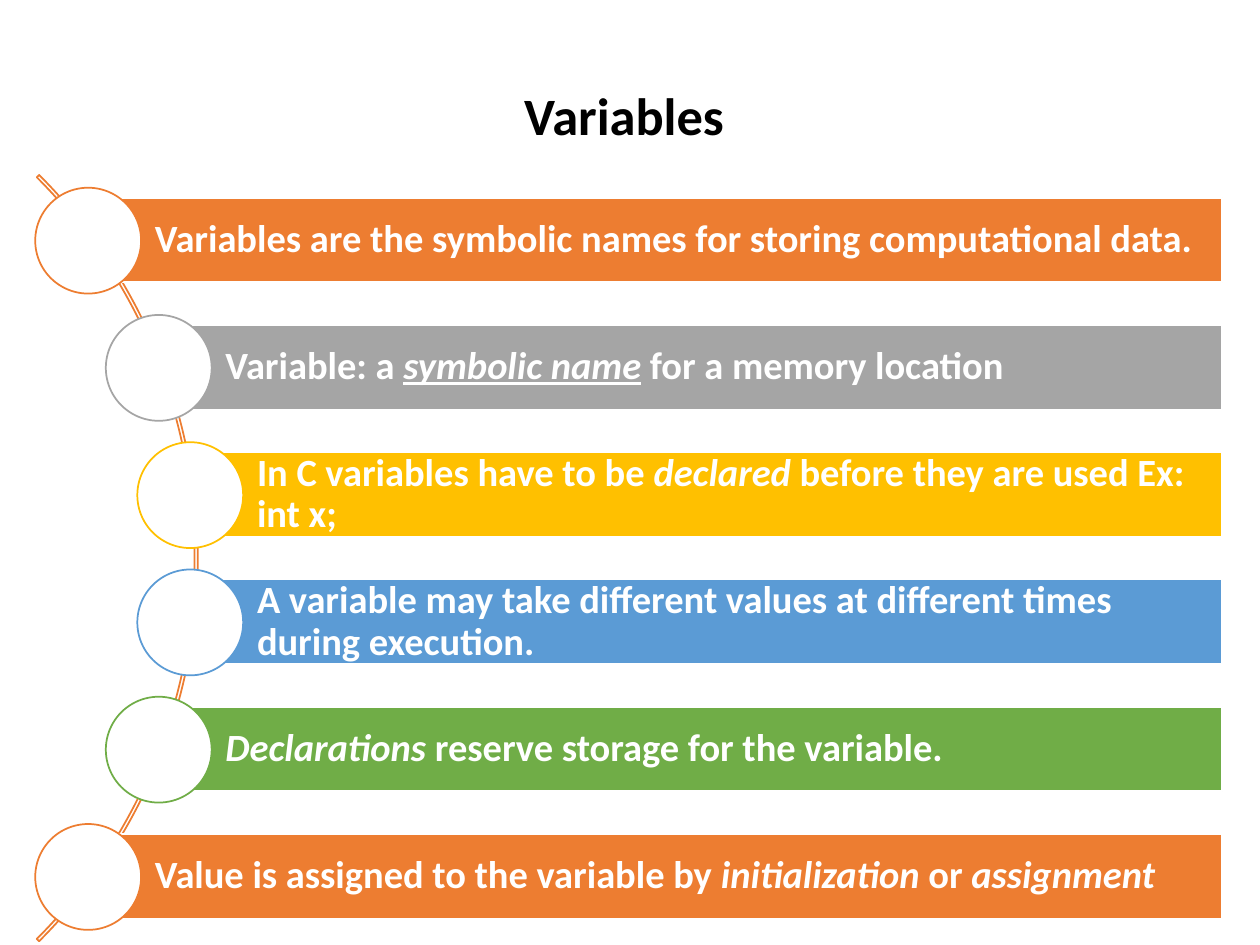
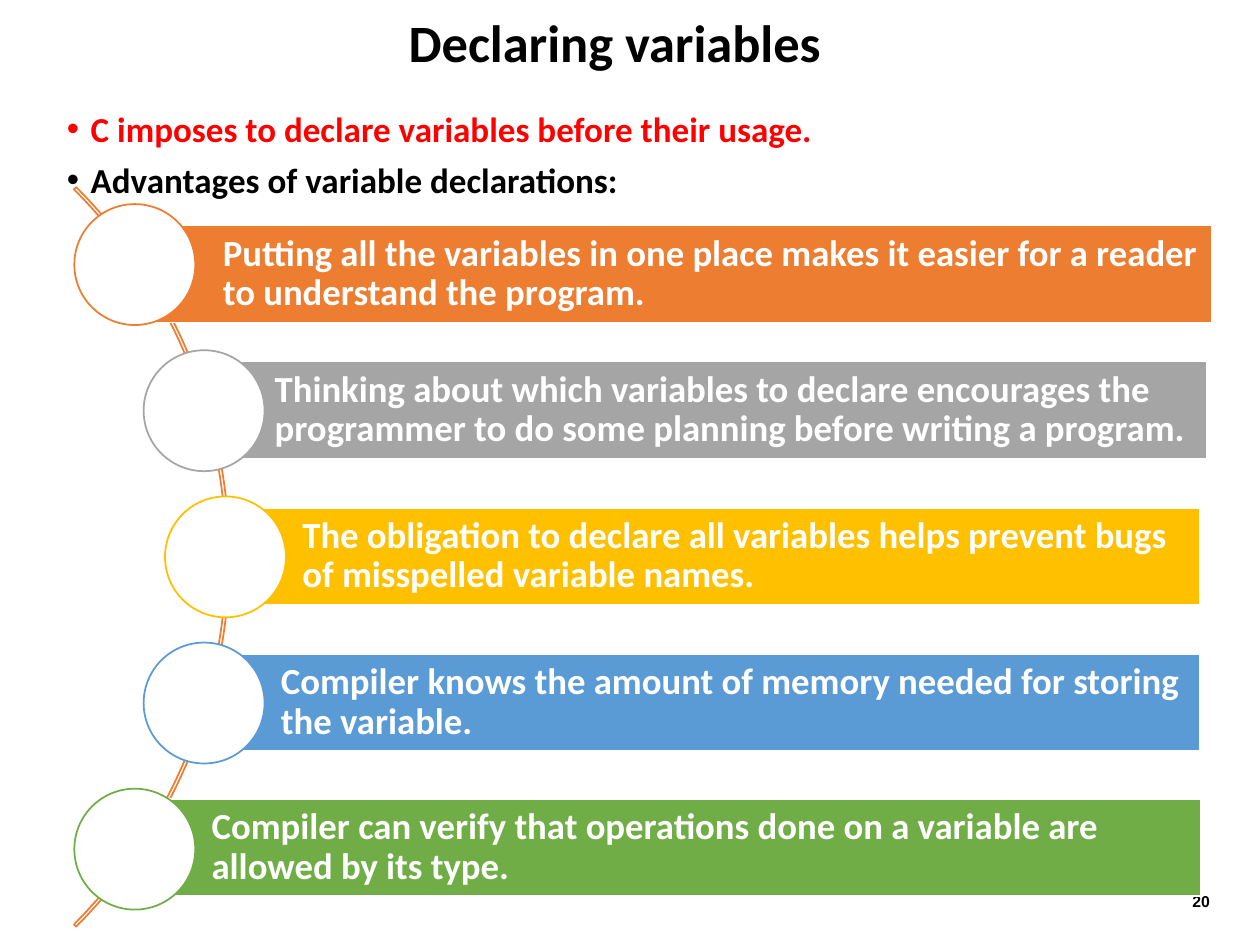
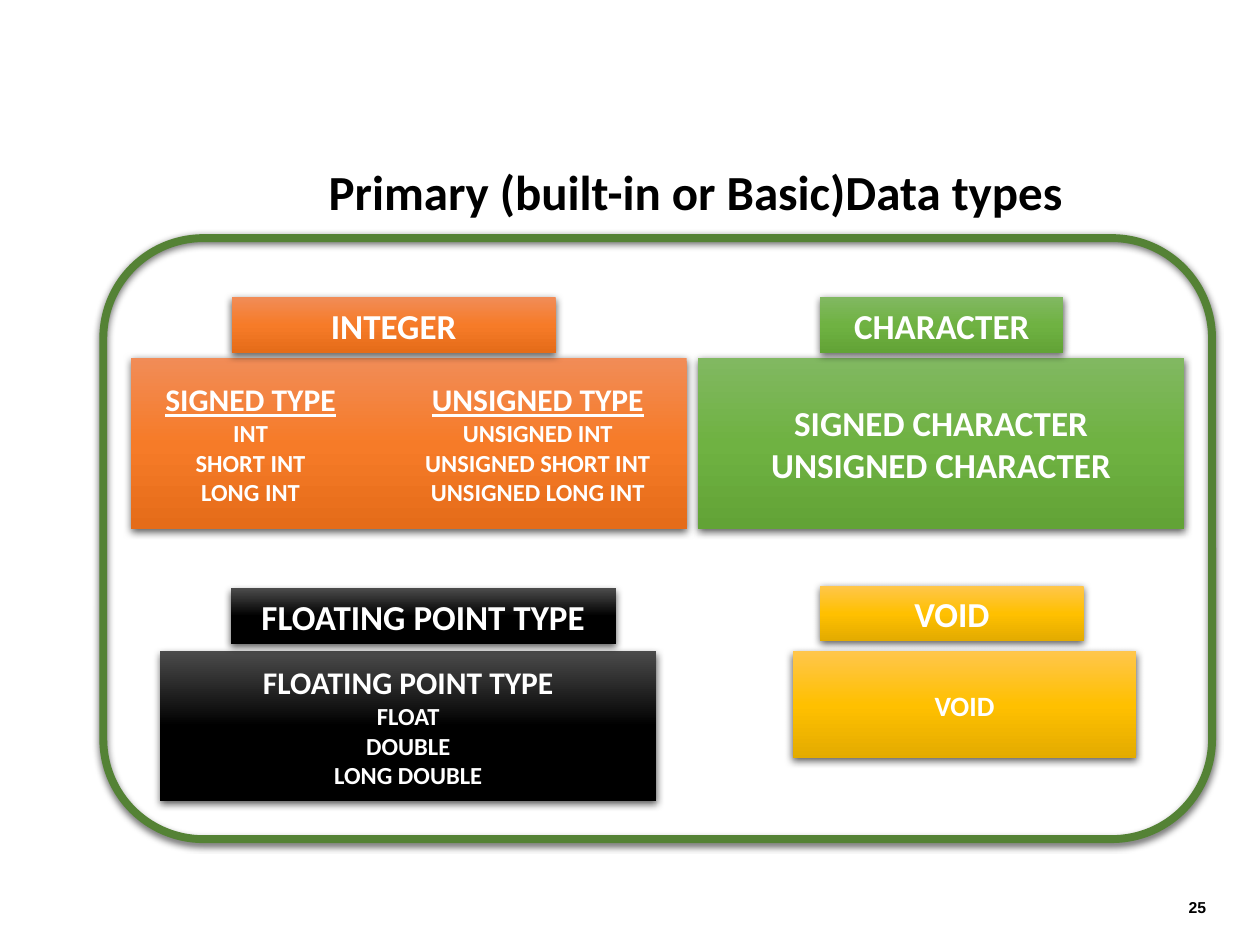
from copy import deepcopy

from lxml.etree import SubElement
from pptx import Presentation
from pptx.dml.color import RGBColor
from pptx.enum.shapes import MSO_SHAPE as SHAPE
from pptx.enum.text import MSO_ANCHOR as ANCHOR, MSO_AUTO_SIZE as AUTO, PP_ALIGN as ALIGN
from pptx.oxml.ns import qn
from pptx.util import Inches, Pt

BLACK = RGBColor(0x00, 0x00, 0x00)
WHITE = RGBColor(0xFF, 0xFF, 0xFF)
RED = RGBColor(0xFF, 0x00, 0x00)
ORANGE = RGBColor(0xED, 0x7D, 0x31)
GRAY = RGBColor(0xA5, 0xA5, 0xA5)
GOLD = RGBColor(0xFF, 0xC0, 0x00)
BLUE = RGBColor(0x5B, 0x9B, 0xD5)
GREEN = RGBColor(0x70, 0xAD, 0x47)
DARK_GREEN = RGBColor(0x54, 0x82, 0x35)
ACCENTS = [ORANGE, GRAY, GOLD, BLUE, GREEN]

ORANGE_FADE = [RGBColor(0xF1, 0x8C, 0x57), RGBColor(0xF6, 0x7B, 0x28), RGBColor(0xE5, 0x6C, 0x19)]
GREEN_FADE = [RGBColor(0x81, 0xB8, 0x61), RGBColor(0x6F, 0xB2, 0x42), RGBColor(0x62, 0xA3, 0x36)]
BLACK_FADE = [RGBColor(0x4B, 0x4B, 0x4B), BLACK, BLACK]
GOLD_FADE = [RGBColor(0xFF, 0xC6, 0x4B), GOLD, RGBColor(0xE3, 0xAB, 0x00)]

TITLE_ONLY, TITLE_AND_BODY = 5, 1


def place(sp, left, top, width, height):
    sp.left, sp.top, sp.width, sp.height = map(Inches, (left, top, width, height))


def set_insets(tf, left, top, right, bottom):
    tf.margin_left, tf.margin_top = Inches(left), Inches(top)
    tf.margin_right, tf.margin_bottom = Inches(right), Inches(bottom)


def set_tabs(p, positions):
    """Add centred tab stops, in inches from the text edge."""
    tabs = SubElement(p._p.get_or_add_pPr(), qn("a:tabLst"))
    for position in positions:
        SubElement(tabs, qn("a:tab"), pos=str(Inches(position)), algn="ctr")


def set_shadow(sp):
    """Give the shape a soft black shadow just below it."""
    sp.shadow.inherit = False
    effects = sp._element.spPr.find(qn("a:effectLst"))
    outer = SubElement(effects, qn("a:outerShdw"), blurRad=str(Pt(4.5)),
                       dist=str(Pt(1.5)), dir="5400000", algn="ctr", rotWithShape="0")
    color = SubElement(outer, qn("a:srgbClr"), val="000000")
    SubElement(color, qn("a:alpha"), val="63000")


def set_fade(sp, colors):
    """Fill the shape with a three-stop gradient from top to bottom."""
    sp.fill.gradient()
    sp.fill.gradient_angle = 270
    stops = sp._element.spPr.find(".//" + qn("a:gsLst"))
    stops.append(deepcopy(stops[0]))
    for i, (stop, color) in enumerate(zip(sp.fill.gradient_stops, colors)):
        stop.position = i / 2
        stop.color.rgb = color


class Deck:
    font = "Calibri"

    def __init__(self):
        self.prs = Presentation()
        self.prs.slide_width, self.prs.slide_height = Inches(10), Inches(7.5)

    def new_slide(self, layout):
        self.slide = self.prs.slides.add_slide(self.prs.slide_layouts[layout])

    def style(self, p, size, color, align=ALIGN.LEFT, spacing=1.0, font=None):
        p.alignment, p.line_spacing = align, spacing
        p.space_before = Pt(0)
        for r in p.runs:
            r.font.name, r.font.size, r.font.bold = font or self.font, Pt(size), True
            r.font.color.rgb = color

    def title(self, text, box, size=30, indent=None):
        """Fill the title; an indent, in inches, replaces centring."""
        sp = self.slide.shapes.title
        place(sp, *box)
        tf = sp.text_frame
        tf.text, tf.auto_size, tf.vertical_anchor = text, AUTO.NONE, ANCHOR.MIDDLE
        p = tf.paragraphs[0]
        self.style(p, size, BLACK, ALIGN.LEFT if indent else ALIGN.CENTER, 0.9)
        if indent:
            p._p.get_or_add_pPr().set("marL", str(Inches(indent)))

    def bullets(self, items, box):
        sp = self.slide.placeholders[1]
        place(sp, *box)
        tf = sp.text_frame
        tf.text, tf.auto_size = "\n".join(text for text, _ in items), AUTO.NONE
        set_insets(tf, 0.07, 0.04, 0.07, 0.04)
        for i, (p, (_, color)) in enumerate(zip(tf.paragraphs, items)):
            self.style(p, 20, color, ALIGN.JUSTIFY, 0.9)
            p.space_before = Pt(7.5 if i else 0)
            pPr = p._p.get_or_add_pPr()
            pPr.set("marL", str(Inches(0.19)))
            pPr.set("indent", str(Inches(-0.19)))

    def number(self, text, box):
        sp = self.slide.shapes.add_textbox(*map(Inches, box))
        tf = sp.text_frame
        tf.text, tf.word_wrap, tf.vertical_anchor = text, True, ANCHOR.MIDDLE
        self.style(tf.paragraphs[0], 9, BLACK, ALIGN.RIGHT, font="Arial")

    def shape(self, kind, box, line=None, fill=None, width=1):
        sp = self.slide.shapes.add_shape(kind, *map(Inches, box))
        sp.shadow.inherit = False
        if fill is None:
            sp.fill.background()
        else:
            sp.fill.solid()
            sp.fill.fore_color.rgb = fill
        if line is None:
            sp.line.fill.background()
        else:
            sp.line.color.rgb, sp.line.width = line, Pt(width)
        return sp

    def arc(self, left, top, diameter):
        sp = self.shape(SHAPE.BLOCK_ARC, (left, top, diameter, diameter), ORANGE)
        for i, value in enumerate((189, 27, 0.003)):
            sp.adjustments[i] = value

    def bar(self, box, color, runs, size, inset):
        """Draw a bar; runs are (text, marks) with marks i and u."""
        tf = self.shape(SHAPE.RECTANGLE, box, WHITE, color).text_frame
        tf.word_wrap, tf.vertical_anchor = True, ANCHOR.MIDDLE
        set_insets(tf, inset, 0.06, 0.06, 0.06)
        p = tf.paragraphs[0]
        for text, marks in runs:
            r = p.add_run()
            r.text = text
            r.font.italic, r.font.underline = "i" in marks, "u" in marks
        self.style(p, size, WHITE, spacing=0.9)

    def circle(self, left, top, diameter, color):
        self.shape(SHAPE.OVAL, (left, top, diameter, diameter), color, WHITE)

    def type_box(self, box, colors, lines, tabs=()):
        """Draw a shaded box of (text, size) lines, in columns if tabs are given."""
        sp = self.shape(SHAPE.RECTANGLE, box)
        set_fade(sp, colors)
        set_shadow(sp)
        tf = sp.text_frame
        tf.text = "\n".join(text for text, _ in lines)
        tf.word_wrap, tf.vertical_anchor = True, ANCHOR.MIDDLE
        for p, (_, size) in zip(tf.paragraphs, lines):
            if tabs:
                set_tabs(p, tabs)
            self.style(p, size, WHITE, ALIGN.LEFT if tabs else ALIGN.CENTER)
        return tf

    def frame(self, box):
        set_shadow(self.shape(SHAPE.ROUNDED_RECTANGLE, box, DARK_GREEN, width=4.5))


def variables(deck):
    deck.new_slide(TITLE_ONLY)
    deck.title("Variables", (1.81, 0.66, 5.88, 0.56), indent=2.25)
    deck.arc(-7.03, 0.13, 8.6)
    facts = [
        (0.7, [("Variables are the symbolic names for storing computational data.", "")]),
        (1.26, [("Variable: a ", ""), ("symbolic name", "iu"), (" for a memory location", "")]),
        (1.51, [("In C variables have to be ", ""), ("declared", "i"),
                (" before they are used Ex: int x;", "")]),
        (1.51, [("A variable may take different values at different times during execution.", "")]),
        (1.26, [("Declarations ", "i"), ("reserve storage for the variable.", "")]),
        (0.7, [("Value is assigned to the variable by ", ""), ("initialization", "i"),
               (" or ", ""), ("assignment", "i")]),
    ]
    right, pitch, diameter = 9.7, 1.01, 0.84
    for i, (left, runs) in enumerate(facts):
        color = ACCENTS[i % len(ACCENTS)]
        top = 1.57 + i * pitch
        deck.bar((left, top, right - left, 0.67), color, runs, 22, 0.53)
        deck.circle(left - diameter / 2, top - 0.08, diameter, color)


def declaring_variables(deck):
    deck.new_slide(TITLE_AND_BODY)
    deck.title("Declaring variables", (1.94, 0.08, 5.88, 0.56))
    deck.bullets([("C imposes to declare variables before their usage.", RED),
                  ("Advantages of variable declarations:", BLACK)], (0.46, 0.85, 9.25, 4.86))
    deck.number("20", (9.31, 6.95, 0.39, 0.4))
    deck.arc(-6.48, 0.27, 8.3)
    advantages = [
        (0.59, (1.16, 1.79, 8.46),
         "Putting all the variables in one place makes it easier for a reader "
         "to understand the program."),
        (1.14, (1.57, 2.87, 8.01),
         "Thinking about which variables to declare encourages the programmer "
         "to do some planning before writing a program."),
        (1.31, (1.79, 4.03, 7.73),
         "The obligation to declare all variables helps prevent bugs "
         "of misspelled variable names."),
        (1.14, (1.62, 5.19, 7.9),
         "Compiler knows the amount of memory needed for storing the variable."),
        (0.59, (1.07, 6.34, 8.46),
         "Compiler can verify that operations done on a variable are allowed by its type."),
    ]
    for i, (circle_left, bar, text) in enumerate(advantages):
        deck.bar((*bar, 0.77), ACCENTS[i], [(text, "")], 21, 0.61)
        deck.circle(circle_left, 1.62 + i * 1.16, 0.96, ACCENTS[i])


def primary_types(deck):
    deck.new_slide(TITLE_ONLY)
    deck.title("Primary (built-in or Basic)Data types", (2.27, 1.2, 6.5, 0.69), size=28)
    deck.number("25", (6.05, 7.05, 3.62, 0.3))
    integer = deck.type_box(
        (1.04, 2.84, 4.41, 1.36), ORANGE_FADE,
        [("\tSIGNED TYPE\tUNSIGNED TYPE", 18), ("\tINT\tUNSIGNED INT", 14),
         ("\tSHORT INT\tUNSIGNED SHORT INT", 14), ("\tLONG INT\tUNSIGNED LONG INT", 14)],
        tabs=(0.85, 3.13))
    heading = integer.paragraphs[0]
    heading.text = ""
    for text in ("\t", "SIGNED TYPE", "\t", "UNSIGNED TYPE"):
        r = heading.add_run()
        r.text = text
        r.font.underline = text != "\t"
    deck.style(heading, 18, WHITE)

    deck.type_box((5.54, 2.84, 3.86, 1.36), GREEN_FADE,
                  [("SIGNED CHARACTER", 20), ("UNSIGNED CHARACTER", 20)])
    deck.type_box((1.27, 5.17, 3.94, 1.19), BLACK_FADE,
                  [("FLOATING POINT TYPE", 18), ("FLOAT", 14), ("DOUBLE", 14),
                   ("LONG DOUBLE", 14)])
    deck.type_box((6.29, 5.17, 2.73, 0.85), GOLD_FADE, [("VOID", 16)])
    labels = [
        ("INTEGER", 1.84, 2.36, 2.57, ORANGE_FADE),
        ("CHARACTER", 6.51, 2.36, 1.93, GREEN_FADE),
        ("FLOATING POINT TYPE", 1.83, 4.67, 3.06, BLACK_FADE),
        ("VOID", 6.51, 4.65, 2.09, GOLD_FADE),
    ]
    for text, left, top, width, colors in labels:
        deck.type_box((left, top, width, 0.44), colors, [(text, 20)])
    deck.frame((0.82, 1.89, 8.8, 4.77))


def main():
    deck = Deck()
    variables(deck)
    declaring_variables(deck)
    primary_types(deck)
    deck.prs.save("out.pptx")


if __name__ == "__main__":
    main()
